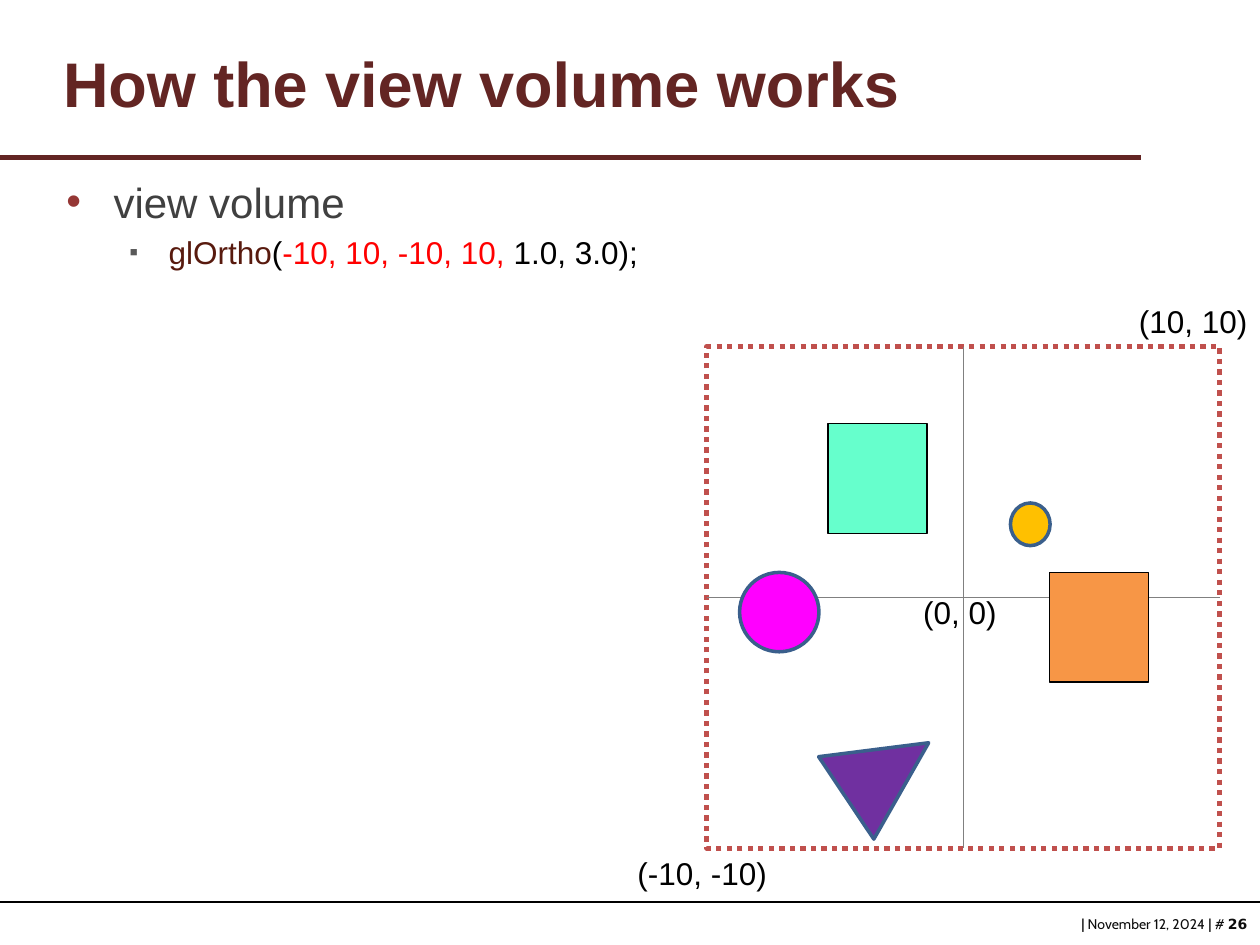
from dataclasses import dataclass

from lxml import etree
from pptx import Presentation
from pptx.dml.color import RGBColor
from pptx.enum import dml, shapes, text
from pptx.oxml.ns import qn
from pptx.util import Cm, Pt

Shape = shapes.MSO_SHAPE
Align = text.PP_ALIGN


@dataclass(frozen=True)
class Theme:
    font: str = "Arial"
    foot_font: str = "Cabin"
    page_font: str = "DejaVu Sans"
    title: str = "632523"
    body: str = "404040"
    ink: str = "000000"
    foot: str = "0D0D0D"
    code: str = "581A0E"
    hot: str = "FF0000"
    dot: str = "953735"
    square: str = "595959"
    paper: str = "FFFFFF"
    frame: str = "C0504D"
    axis: str = "808080"
    edge: str = "3A5F8C"
    mint: str = "66FFCC"
    violet: str = "7030A0"
    gold: str = "FFC000"
    orange: str = "F79646"
    pink: str = "FF00FF"
    title_size: int = 36
    body_size: int = 24
    code_size: int = 18
    foot_size: int = 8


T = Theme()


def rgb(code):
    return RGBColor.from_string(code)


def write(para, words, size=T.code_size, color=T.ink, font=T.font, bold=False):
    run = para.add_run()
    run.text = words
    run.font.size, run.font.name, run.font.bold = Pt(size), font, bold
    run.font.color.rgb = rgb(color)


def add_text(slide, box, wrap=False):
    frame = slide.shapes.add_textbox(*map(Cm, box)).text_frame
    frame.word_wrap = wrap
    return frame


def add_line(slide, start, end, color, width):
    line = slide.shapes.add_connector(
        shapes.MSO_CONNECTOR.STRAIGHT, *map(Cm, (*start, *end)))
    line.line.color.rgb, line.line.width = rgb(color), Pt(width)
    etree.SubElement(line._element.spPr, qn("a:effectLst"))
    return line


def add_form(slide, kind, box, fill, edge, width, turn=0):
    form = slide.shapes.add_shape(kind, *map(Cm, box))
    form.shadow.inherit = False
    form.fill.solid()
    form.fill.fore_color.rgb = rgb(fill)
    form.line.color.rgb, form.line.width = rgb(edge), Pt(width)
    form.rotation = turn
    return form


def set_bullet(para, mark, color, left, hang, scale=100):
    """Give a paragraph a hanging bullet; left and hang are in cm."""
    props = para._p.get_or_add_pPr()
    props.set("marL", str(Cm(left)))
    props.set("indent", str(-Cm(hang)))
    space = etree.SubElement(props, qn("a:spcBef"))
    etree.SubElement(space, qn("a:spcPct"), val="20000")
    tint = etree.SubElement(props, qn("a:buClr"))
    etree.SubElement(tint, qn("a:srgbClr"), val=color)
    etree.SubElement(props, qn("a:buSzPct"), val=str(scale * 1000))
    etree.SubElement(props, qn("a:buFont"), typeface=T.font)
    etree.SubElement(props, qn("a:buChar"), char=mark)


def add_head(slide, box):
    left, top, width, height = box
    title = slide.shapes.title
    title.left, title.top, title.width, title.height = map(Cm, box)
    frame = title.text_frame
    frame.margin_left = Cm(0.51)
    frame.vertical_anchor = text.MSO_ANCHOR.MIDDLE
    para = frame.paragraphs[0]
    para.alignment = Align.LEFT
    write(para, "How the view volume works", size=T.title_size,
          color=T.title, bold=True)
    rule = top + height + 0.41
    add_line(slide, (0, rule), (left + width - 0.61, rule), T.title, 3)


def add_body(slide, box):
    frame = add_text(slide, box, wrap=True)
    para = frame.paragraphs[0]
    set_bullet(para, "•", T.dot, 0.95, 0.95)
    write(para, "view volume", size=T.body_size, color=T.body)
    para = frame.add_paragraph()
    para.level = 1
    set_bullet(para, "▪", T.square, 2.06, 0.79, scale=80)
    for words, color in (("glOrtho", T.code), ("(", T.ink),
                         ("-10, 10, -10, 10, ", T.hot), ("1.0, 3.0);", T.ink)):
        write(para, words, color=color)


def add_scene(slide, box):
    """Draw the dashed view volume with its axes, objects and labels."""
    left, top, width, height = box
    frame = add_form(slide, Shape.RECTANGLE, box, T.paper, T.frame, 3)
    frame.line.dash_style = dml.MSO_LINE.ROUND_DOT
    for first, last in ((1, 3), (0, 2)):
        axis = add_line(slide, (left, top), (left + width, top + height),
                        T.axis, 0.75)
        axis.begin_connect(frame, first)
        axis.end_connect(frame, last)

    block, blue = (T.ink, 0.75), (T.edge, 2)
    for kind, x, y, wide, high, fill, edge, turn in (
            (Shape.RECTANGLE, 2.44, 1.55, 2, 2.21, T.mint, block, 0),
            (Shape.ISOSCELES_TRIANGLE, 2.64, 7.54, 2, 2, T.violet, blue, 56.2),
            (Shape.OVAL, 6.12, 3.15, 0.8, 0.86, T.gold, blue, 0),
            (Shape.RECTANGLE, 6.91, 4.55, 2, 2.21, T.orange, block, 0),
            (Shape.OVAL, 0.66, 4.55, 1.6, 1.6, T.pink, blue, 0)):
        add_form(slide, kind, (left + x, top + y, wide, high), fill, *edge,
                 turn=turn)

    tall = 1.02
    for words, x, y, wide in (("(10, 10)", 8.46, -tall, 2.72),
                              ("(-10, -10)", -1.65, height, 3.15),
                              ("(0, 0)", 4.11, 4.85, 2)):
        label = add_text(slide, (left + x, top + y, wide, tall))
        write(label.paragraphs[0], words)


def add_foot(slide, box):
    left, top, width, height = box
    add_line(slide, (0, top - 0.15), (left + width, top - 0.15), T.ink, 1)
    para = add_text(slide, box).paragraphs[0]
    para.alignment = Align.RIGHT
    for words, font, bold in (("| ", T.foot_font, True),
                              ("November 12, 2024 ", T.foot_font, False),
                              ("|", T.foot_font, True),
                              (" # ", T.foot_font, False),
                              ("26", T.page_font, True)):
        write(para, words, size=T.foot_size, color=T.foot, font=font, bold=bold)


def main():
    deck = Presentation()
    deck.slide_width, deck.slide_height = Cm(25.4), Cm(19.05)
    slide = deck.slides.add_slide(deck.slide_layouts[5])
    add_head(slide, (0.76, 0.56, 22.86, 2.21))
    add_body(slide, (1.09, 3.43, 23.83, 13.49))
    add_scene(slide, (14.25, 6.99, 10.34, 10.11))
    add_foot(slide, (21.44, 18.34, 3.96, 0.61))
    deck.save("out.pptx")


if __name__ == "__main__":
    main()
